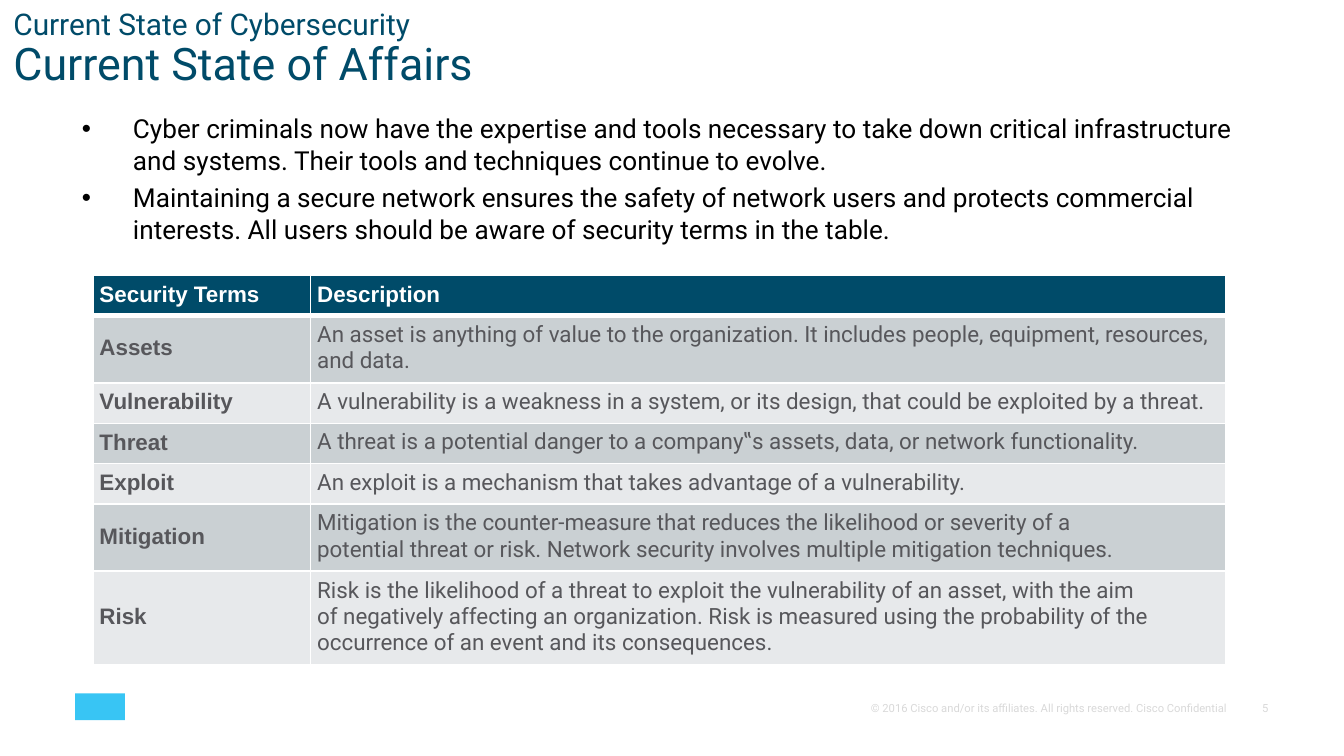
from lxml import etree
from pptx import Presentation
from pptx import util as u
from pptx.dml.color import RGBColor
from pptx.enum import shapes, text
from pptx.oxml.ns import qn

NAVY = RGBColor(0x00, 0x4B, 0x69)
SKY = RGBColor(0x38, 0xC5, 0xF4)
PALE = RGBColor(0xD9, 0xD9, 0xD9)
BLACK = RGBColor(0x00, 0x00, 0x00)
WHITE = RGBColor(0xFF, 0xFF, 0xFF)
GRAY = RGBColor(0x57, 0x57, 0x5B)
BANDS = (RGBColor(0xCA, 0xD0, 0xD3), RGBColor(0xE7, 0xE9, 0xEB))

POINTS = (
    "Cyber criminals now have the expertise and tools necessary to take down critical "
    "infrastructure and systems. Their tools and techniques continue to evolve.",
    "Maintaining a secure network ensures the safety of network users and protects "
    "commercial interests. All users should be aware of security terms in the table.",
)
TERMS = (
    ("Security Terms", "Description", 0.3, 0),
    ("Assets", "An asset is anything of value to the organization. It includes people, "
     "equipment, resources, and data.", 0.5, 0),
    ("Vulnerability", "A vulnerability is a weakness in a system, or its design, that "
     "could be exploited by a threat.", 0.3, 0),
    ("Threat", "A threat is a potential danger to a company‟s assets, data, or network "
     "functionality.", 0.3, 0),
    ("Exploit", "An exploit is a mechanism that takes advantage of a vulnerability.",
     0.3, 0),
    ("Mitigation", "Mitigation is the counter-measure that reduces the likelihood or "
     "severity of a potential threat or risk. Network security involves multiple "
     "mitigation techniques.", 0.5, 0.55),
    ("Risk", "Risk is the likelihood of a threat to exploit the vulnerability of an "
     "asset, with the aim of negatively affecting an organization. Risk is measured "
     "using the probability of the occurrence of an event and its consequences.",
     0.7, 0.55),
)


def apply(target, values):
    """Set each named value on the target."""
    for name, value in values.items():
        setattr(target, name, value)


def write(paragraph, words, size, color, font="Roboto", bold=False):
    """Put styled words into a paragraph."""
    run = paragraph.add_run()
    run.text = words
    apply(run.font, {"name": font, "size": u.Pt(size), "bold": bold})
    run.font.color.rgb = color


def add_frame(slide, left, top, width, height):
    """Add a wrapping text box without side margins and return its frame."""
    frame = slide.shapes.add_textbox(
        *map(u.Inches, (left, top, width, height))).text_frame
    apply(frame, {"word_wrap": True, "margin_left": 0, "margin_right": 0,
                  "margin_top": u.Inches(0.01), "margin_bottom": 0})
    return frame


def add_heading(slide, left, top, width, height):
    """Write the topic line above the slide title."""
    frame = add_frame(slide, left, top, width, height)
    topic, title = frame.paragraphs[0], frame.add_paragraph()
    for paragraph, words, size, spacing in (
            (topic, "Current State of Cybersecurity", 16, 16.2),
            (title, "Current State of Affairs", 24, 25.8)):
        paragraph.line_spacing = u.Pt(spacing)
        write(paragraph, words, size, NAVY)


def add_points(slide, left, top, width, height):
    """Write the bulleted points."""
    frame = add_frame(slide, left, top, width, height)
    for index, point in enumerate(POINTS):
        paragraph = frame.add_paragraph() if index else frame.paragraphs[0]
        properties = paragraph._p.get_or_add_pPr()
        properties.set("marL", str(u.Inches(0.38)))
        properties.set("indent", str(u.Inches(-0.38)))
        etree.SubElement(properties, qn("a:buFont")).set("typeface", "Arial")
        etree.SubElement(properties, qn("a:buChar")).set("char", "•")
        if index:
            paragraph.space_before = u.Pt(3.3)
        write(paragraph, point, 14, BLACK)


def add_borders(cell, widths):
    """Draw white borders with the given width on each side of a cell."""
    properties = cell._tc.get_or_add_tcPr()
    for side, width in widths.items():
        line = etree.SubElement(properties, qn(f"a:ln{side}"), w=str(u.Pt(width)))
        fill = etree.SubElement(line, qn("a:solidFill"))
        etree.SubElement(fill, qn("a:srgbClr")).set("val", str(WHITE))


def add_terms(slide, left, top, width, height):
    """Build the table of security terms."""
    table = slide.shapes.add_table(
        len(TERMS), 2, *map(u.Inches, (left, top, width, height))).table
    term_width = 1.62
    table.columns[0].width = u.Inches(term_width)
    table.columns[1].width = u.Inches(width - term_width)
    for row, (term, description, row_height, right) in enumerate(TERMS):
        table.rows[row].height = u.Inches(row_height)
        header = row == 0
        for column, words in enumerate((term, description)):
            cell = table.cell(row, column)
            apply(cell, {"margin_left": u.Inches(0.05),
                         "margin_right": u.Inches(right * column),
                         "margin_top": 0, "margin_bottom": u.Inches(0.02),
                         "vertical_anchor": text.MSO_ANCHOR.MIDDLE})
            add_borders(cell, {"L": 1, "R": 1, "T": 3 if row == 1 else 1,
                               "B": 3 if header else 1})
            cell.fill.solid()
            cell.fill.fore_color.rgb = NAVY if header else BANDS[(row - 1) % 2]
            strong = header or column == 0
            write(cell.text_frame.paragraphs[0], words, 12, WHITE if header else GRAY,
                  "Arial" if strong else "Roboto", strong)


def add_footer(slide, left, top, width, height):
    """Place the emblem block, copyright line and slide number."""
    emblem = slide.shapes.add_shape(
        shapes.MSO_SHAPE.RECTANGLE, *map(u.Inches, (left, top, 0.37, height)))
    emblem.shadow.inherit = False
    emblem.fill.solid()
    emblem.fill.fore_color.rgb = SKY
    emblem.line.fill.background()
    notice = add_frame(slide, left + 5.92, top + 0.05, 2.73, 0.12)
    write(notice.paragraphs[0], "© 2016 Cisco and/or its affiliates. All rights "
          "reserved. Cisco Confidential", 6, PALE)
    number = add_frame(slide, left + width - 0.15, top + 0.05, 0.15, 0.12)
    write(number.paragraphs[0], "5", 6, PALE)


def main():
    """Build and save the slide."""
    deck = Presentation()
    slide_width = u.Inches(10)
    apply(deck, {"slide_width": slide_width, "slide_height": slide_width * 9 // 16})
    slide = deck.slides.add_slide(deck.slide_layouts[6])
    add_footer(slide, 0.56, 5.16, 8.98, 0.2)
    add_heading(slide, 0.1, 0.07, 5.55, 0.61)
    add_points(slide, 0.61, 0.83, 8.8, 1.01)
    add_terms(slide, 0.69, 2.05, 8.43, 2.9)
    deck.save("out.pptx")


if __name__ == "__main__":
    main()
